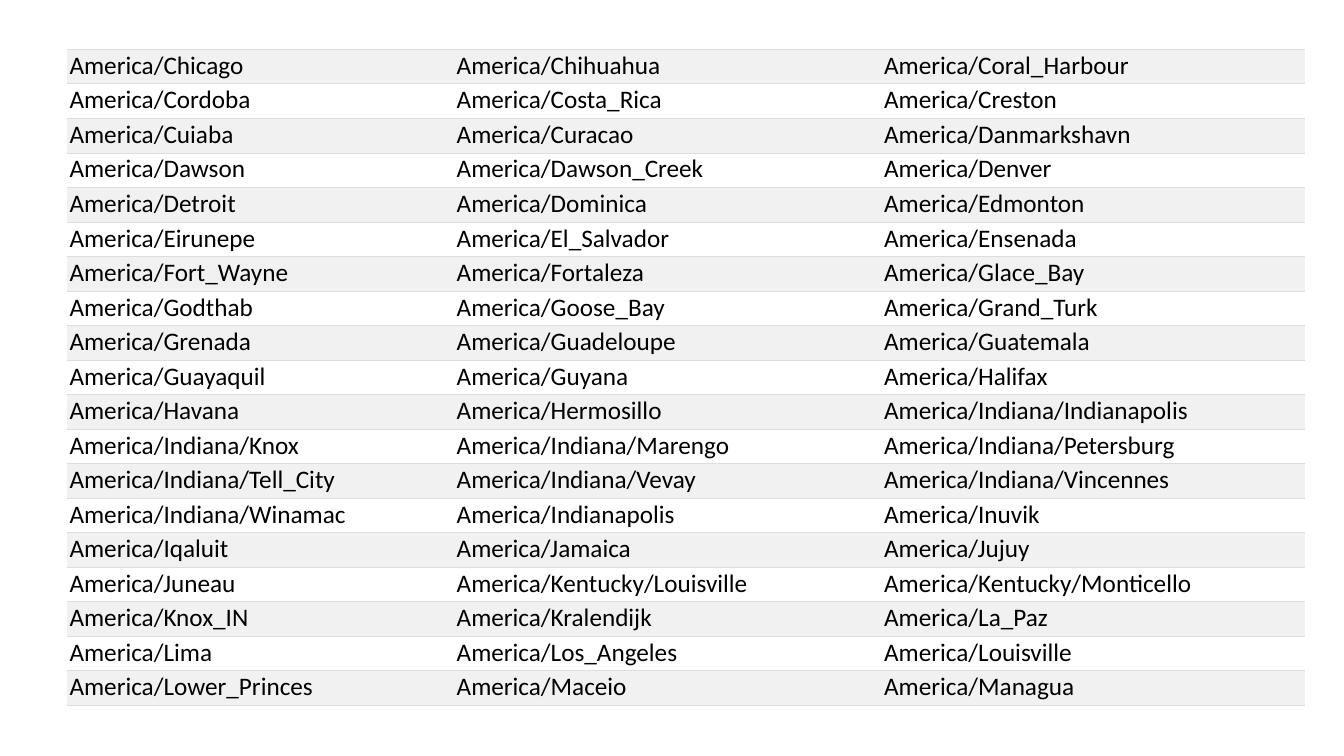
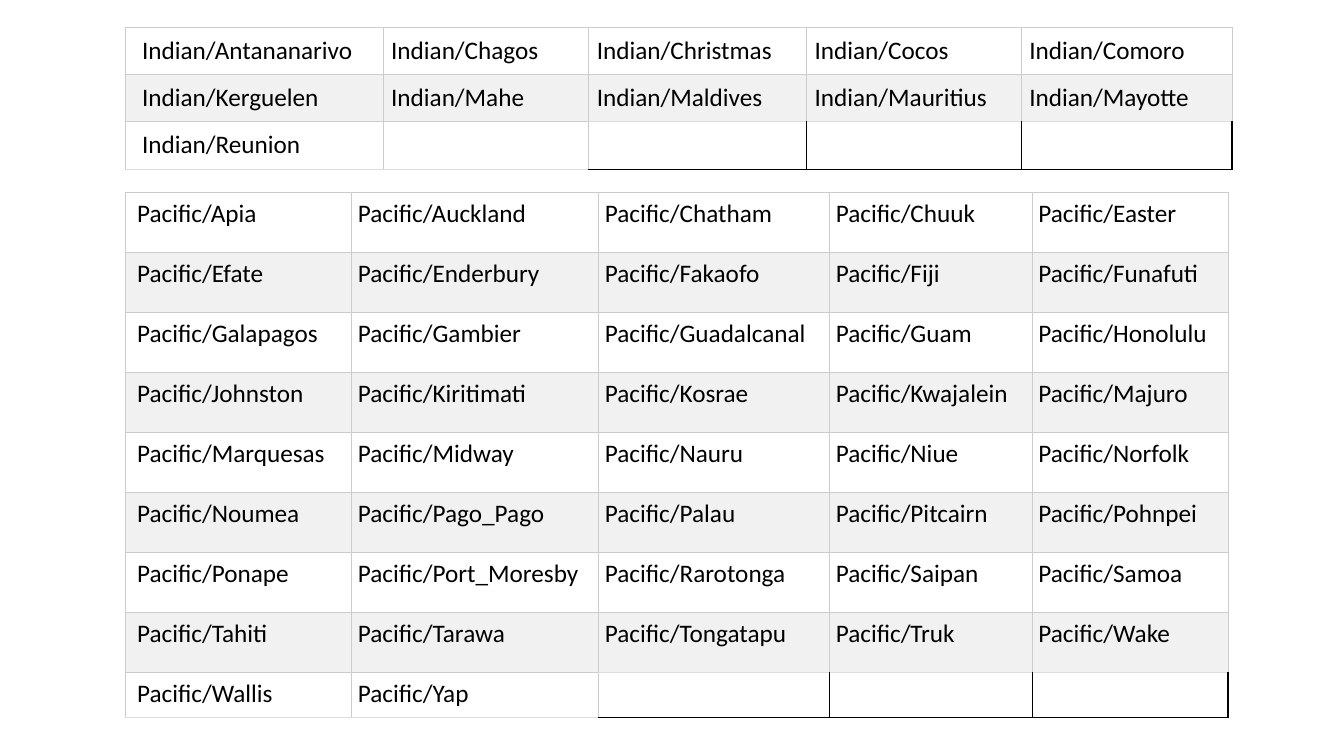
from lxml import etree
from pptx import Presentation
from pptx.dml.color import RGBColor
from pptx.oxml.ns import qn
from pptx.util import Inches, Pt

BLACK = RGBColor(0x00, 0x00, 0x00)
WHITE = RGBColor(0xFF, 0xFF, 0xFF)
BAND = RGBColor(0xF1, 0xF1, 0xF1)
RULE = RGBColor(0xDD, 0xDD, 0xDD)
GRID = RGBColor(0xCC, 0xCC, 0xCC)
FONT, TEXT_SIZE = "Calibri", 18
GRID_PT, OPEN_PT = 0.75, 1
OPEN_FROM = 2

AMERICA = """
Chicago Chihuahua Coral_Harbour
Cordoba Costa_Rica Creston
Cuiaba Curacao Danmarkshavn
Dawson Dawson_Creek Denver
Detroit Dominica Edmonton
Eirunepe El_Salvador Ensenada
Fort_Wayne Fortaleza Glace_Bay
Godthab Goose_Bay Grand_Turk
Grenada Guadeloupe Guatemala
Guayaquil Guyana Halifax
Havana Hermosillo Indiana/Indianapolis
Indiana/Knox Indiana/Marengo Indiana/Petersburg
Indiana/Tell_City Indiana/Vevay Indiana/Vincennes
Indiana/Winamac Indianapolis Inuvik
Iqaluit Jamaica Jujuy
Juneau Kentucky/Louisville Kentucky/Monticello
Knox_IN Kralendijk La_Paz
Lima Los_Angeles Louisville
Lower_Princes Maceio Managua
""".split()

INDIAN = """
Antananarivo Chagos Christmas Cocos Comoro
Kerguelen Mahe Maldives Mauritius Mayotte
Reunion
""".split()

PACIFIC = """
Apia Auckland Chatham Chuuk Easter
Efate Enderbury Fakaofo Fiji Funafuti
Galapagos Gambier Guadalcanal Guam Honolulu
Johnston Kiritimati Kosrae Kwajalein Majuro
Marquesas Midway Nauru Niue Norfolk
Noumea Pago_Pago Palau Pitcairn Pohnpei
Ponape Port_Moresby Rarotonga Saipan Samoa
Tahiti Tarawa Tongatapu Truk Wake
Wallis Yap
""".split()


def ruled_borders(row, col, last):
    return {"T": (RULE, GRID_PT), "B": (RULE, GRID_PT)}


def grid_borders(row, col, last):
    grid, rule, ink = (GRID, GRID_PT), (RULE, GRID_PT), (BLACK, OPEN_PT)
    is_open = col >= OPEN_FROM
    if row == last and is_open:
        return {"L": grid if col == OPEN_FROM else ink, "R": ink,
                "T": rule, "B": ink}
    closes = row == last or (row == last - 1 and is_open)
    return {"L": grid, "R": grid, "T": grid, "B": rule if closes else grid}


def draw_borders(cell, borders):
    tcPr = cell._tc.get_or_add_tcPr()
    for i, side in enumerate("LRTB"):
        ln = etree.Element(qn("a:ln" + side))
        if side in borders:
            color, width = borders[side]
            ln.set("w", str(Pt(width)))
            fill = etree.SubElement(ln, qn("a:solidFill"))
            etree.SubElement(fill, qn("a:srgbClr"), val=str(color))
        else:
            ln.set("w", "0")
            etree.SubElement(ln, qn("a:noFill"))
        tcPr.insert(i, ln)


def write_cell(cell, text, first, inset, lead):
    cell.margin_left = Inches(lead if first else inset)
    cell.margin_right = cell.margin_top = cell.margin_bottom = Inches(inset)
    p = cell.text_frame.paragraphs[0]
    p.font.size = Pt(TEXT_SIZE)
    if text:
        r = p.add_run()
        r.text = text
        r.font.name = FONT
        r.font.size = Pt(TEXT_SIZE)
        r.font.color.rgb = BLACK


def add_zone_table(s, region, names, left, top, cols, rows, inset, lead,
                   fills, borders):
    last = len(rows) - 1
    table = s.shapes.add_table(
        len(rows), len(cols), Inches(left), Inches(top),
        Inches(sum(cols)), Inches(sum(rows))).table
    table.first_row = table.horz_banding = False
    for column, width in zip(table.columns, cols):
        column.width = Inches(width)
    for i, height in enumerate(rows):
        table.rows[i].height = Inches(height)
        for j in range(len(cols)):
            cell = table.cell(i, j)
            k = i * len(cols) + j
            text = f"{region}/{names[k]}" if k < len(names) else ""
            write_cell(cell, text, j == 0, inset, lead)
            cell.fill.solid()
            cell.fill.fore_color.rgb = fills[i % 2]
            draw_borders(cell, borders(i, j, last))


prs = Presentation()
prs.slide_width, prs.slide_height = Inches(13.33), Inches(7.5)
blank = prs.slide_layouts[6]

s = prs.slides.add_slide(blank)
add_zone_table(s, "America", AMERICA, 0.66, 0.49, (3.86, 4.24, 4.18),
               [6.51 / 19] * 19, 0.01, 0.03, (BAND, WHITE), ruled_borders)

s = prs.slides.add_slide(blank)
add_zone_table(s, "Indian", INDIAN, 1.24, 0.27,
               (2.56, 2.04, 2.16, 2.13, 2.09), [0.47] * 3,
               0.08, 0.17, (WHITE, BAND), grid_borders)
add_zone_table(s, "Pacific", PACIFIC, 1.24, 1.91,
               (2.25, 2.45, 2.29, 2.01, 1.94), [0.595] * 8 + [0.45],
               0.06, 0.12, (WHITE, BAND), grid_borders)

prs.save("out.pptx")
